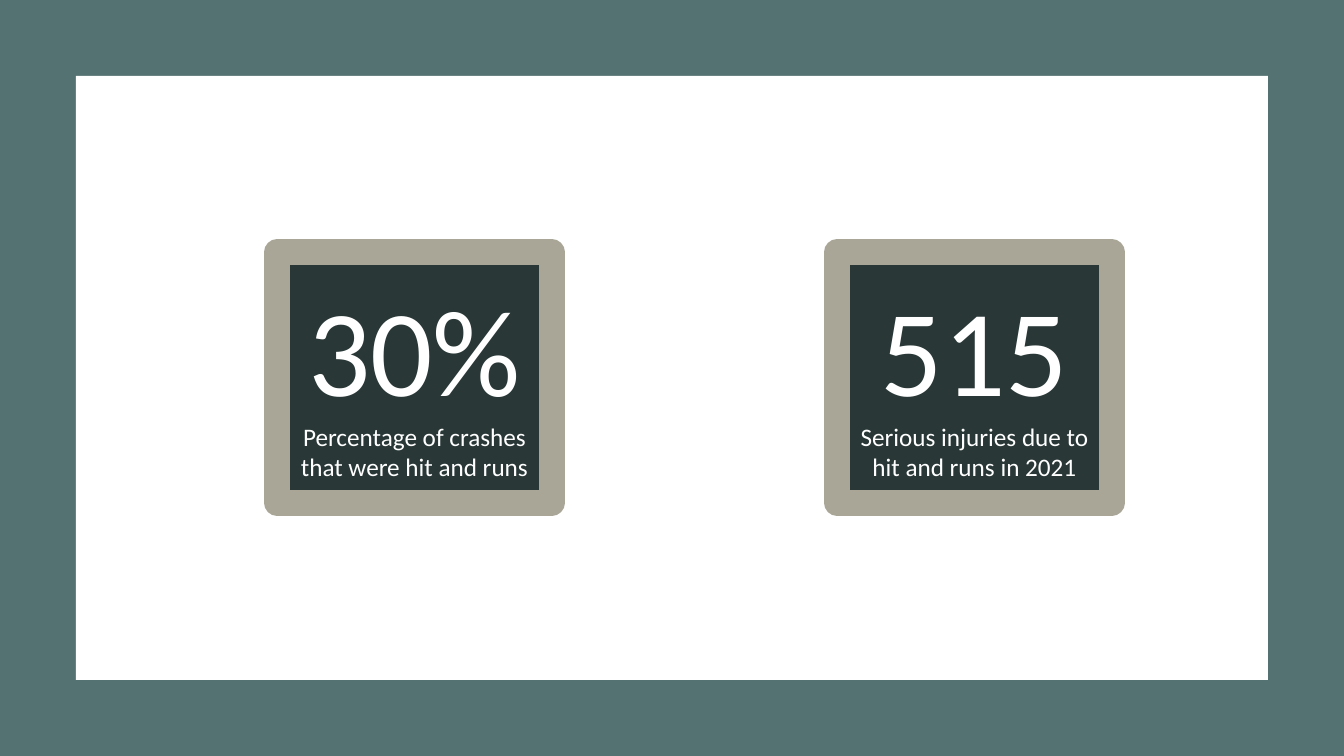
from dataclasses import dataclass

import pptx
import pptx.dml.color
import pptx.enum.shapes
import pptx.enum.text
import pptx.oxml
import pptx.oxml.ns
import pptx.util

SLIDE_WIDTH, SLIDE_HEIGHT = 1344, 756
EMU_PER_PX = pptx.util.Inches(7.5) / SLIDE_HEIGHT


@dataclass(frozen=True)
class Theme:
    font: str = "Calibri"
    backdrop: str = "557272"
    panel: str = "FFFFFF"
    card: str = "293737"
    card_border: str = "A9A698"
    text: str = "FFFFFF"
    figure_size: int = 88
    caption_size: int = 18
    border_width: int = 18


@dataclass(frozen=True)
class Box:
    left: int
    top: int
    width: int
    height: int


@dataclass(frozen=True)
class Statistic:
    left: int
    figure: str
    caption: str


THEME = Theme()
BACKDROP = Box(0, 0, SLIDE_WIDTH, SLIDE_HEIGHT)
MARGIN = 76
PANEL = Box(MARGIN, MARGIN, SLIDE_WIDTH - 2 * MARGIN, SLIDE_HEIGHT - 2 * MARGIN)
CARD_TOP, CARD_WIDTH, CARD_HEIGHT = 252, 275, 251
STATISTICS = [
    Statistic(837, "515", "Serious injuries due to hit and runs in 2021"),
    Statistic(277, "30%", "Percentage of crashes that were hit and runs"),
]


def px(length: int) -> pptx.util.Emu:
    return pptx.util.Emu(round(length * EMU_PER_PX))


def rgb(colour: str) -> pptx.dml.color.RGBColor:
    return pptx.dml.color.RGBColor.from_string(colour)


def add_rectangle(slide, box: Box, fill: str):
    rectangle = slide.shapes.add_shape(
        pptx.enum.shapes.MSO_SHAPE.RECTANGLE,
        px(box.left), px(box.top), px(box.width), px(box.height),
    )
    rectangle.shadow.inherit = False
    rectangle.fill.solid()
    rectangle.fill.fore_color.rgb = rgb(fill)
    rectangle.line.fill.background()
    return rectangle


def add_card(slide, statistic: Statistic) -> None:
    card = add_rectangle(
        slide, Box(statistic.left, CARD_TOP, CARD_WIDTH, CARD_HEIGHT), THEME.card
    )

    # Thick border with rounded corners
    card.line.color.rgb = rgb(THEME.card_border)
    card.line.width = pptx.util.Pt(THEME.border_width)
    outline = card.line.fill._xPr
    outline.append(pptx.oxml.parse_xml(f"<a:round {pptx.oxml.ns.nsdecls('a')}/>"))

    # Large figure above its caption
    frame = card.text_frame
    frame.word_wrap = True
    frame.vertical_anchor = pptx.enum.text.MSO_ANCHOR.MIDDLE
    lines = [
        (frame.paragraphs[0], statistic.figure, THEME.figure_size),
        (frame.add_paragraph(), statistic.caption, THEME.caption_size),
    ]
    for paragraph, wording, size in lines:
        paragraph.text = wording
        paragraph.alignment = pptx.enum.text.PP_ALIGN.CENTER
        paragraph.font.name = THEME.font
        paragraph.font.size = pptx.util.Pt(size)
        paragraph.font.color.rgb = rgb(THEME.text)


def main() -> None:
    presentation = pptx.Presentation()
    presentation.slide_width = px(SLIDE_WIDTH)
    presentation.slide_height = px(SLIDE_HEIGHT)
    slide = presentation.slides.add_slide(presentation.slide_layouts[6])

    # Coloured frame around a white panel
    add_rectangle(slide, BACKDROP, THEME.backdrop)
    add_rectangle(slide, PANEL, THEME.panel)

    # Statistic cards
    for statistic in STATISTICS:
        add_card(slide, statistic)

    presentation.save("out.pptx")


if __name__ == "__main__":
    main()
